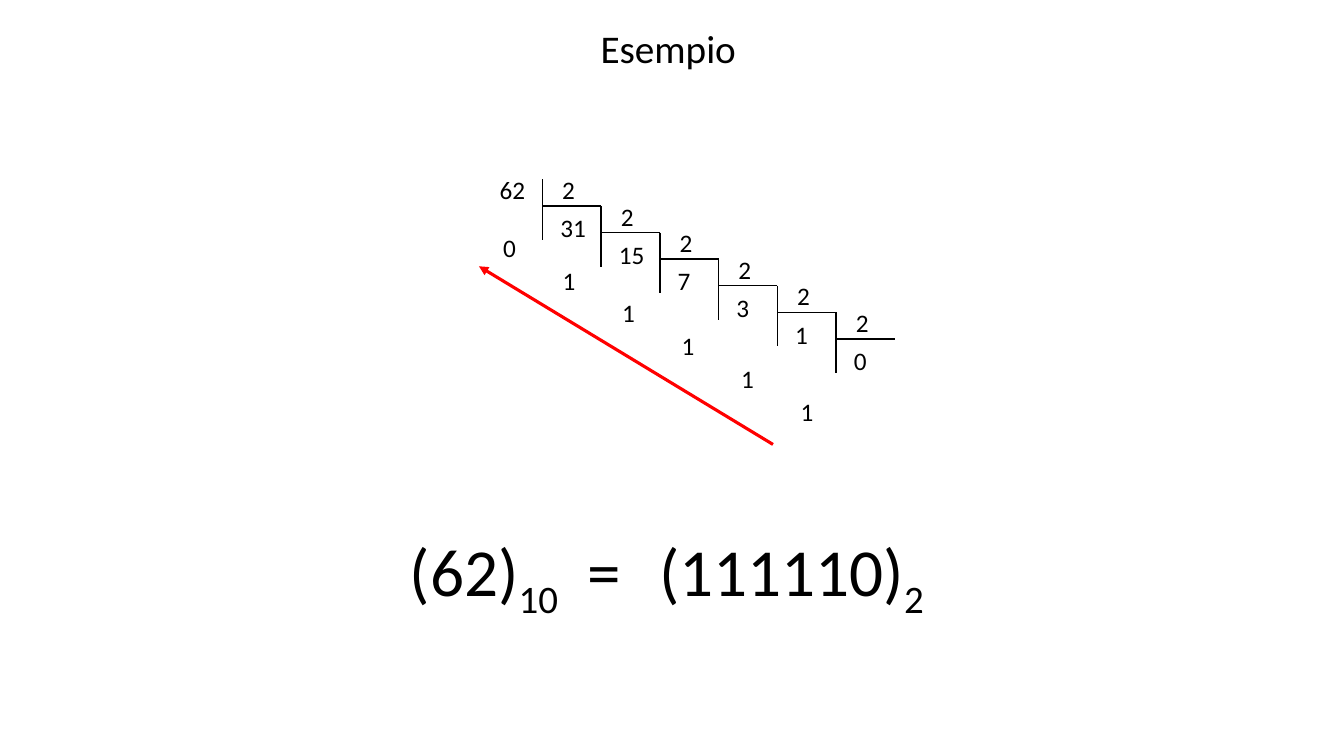
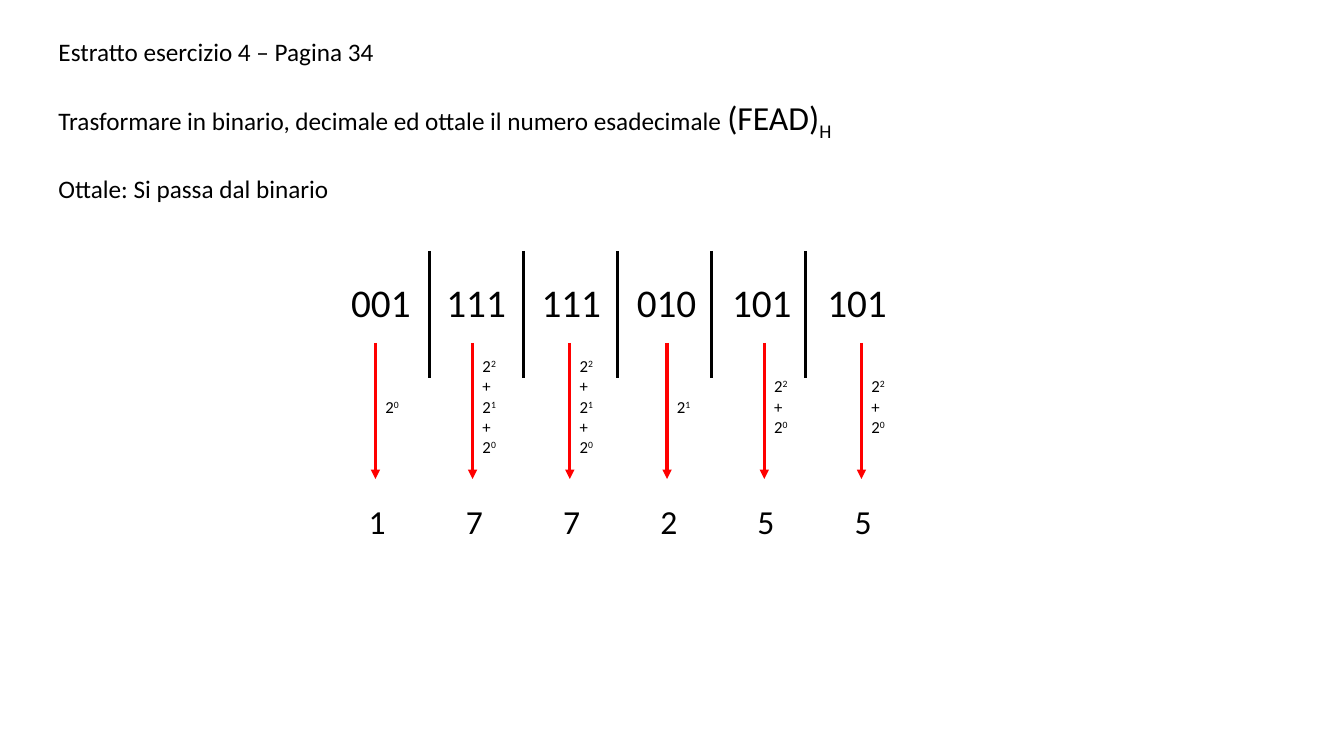
from pptx import Presentation
from pptx.dml.color import RGBColor
from pptx.enum.shapes import MSO_CONNECTOR as Connector
from pptx.enum.text import MSO_ANCHOR as Anchor, MSO_AUTO_SIZE as AutoSize, PP_ALIGN as Align
from pptx.oxml.ns import qn
from pptx.util import Cm, Pt
from lxml.etree import SubElement

# Content: a paragraph is a list of (text, size in points, baseline in percent)
EXAMPLE_TITLE = "Esempio"
DIVISIONS = [  # dividend, remainder
    ("62", "0"), ("31", "1"), ("15", "1"), ("7", "1"), ("3", "1"), ("1", "1"),
]
DIVISOR, LAST_QUOTIENT = "2", "0"
EQUATION = [  # left, width, runs
    (10.08, 5, [("(62)", 48, 0), ("10", 48, -25)]),
    (14.55, 1.96, [("=", 48, 0)]),
    (16.36, 7.62, [("(111110)", 48, 0), ("2", 48, -25)]),
]

EXERCISE_TITLE = "Estratto esercizio 4 – Pagina 34"
EXERCISE_TASK = [
    [("Trasformare in binario, decimale ed ottale il numero esadecimale ", 18, 0),
     ("(FEAD)", 24, 0), ("H", 24, -25)],
    [("Ottale: Si passa dal binario", 18, 0)],
]
OCTAL_GROUPS = [  # three bits, exponents of the bits set, octal digit
    ("001", "0", "1"), ("111", "210", "7"), ("111", "210", "7"),
    ("010", "1", "2"), ("101", "20", "5"), ("101", "20", "5"),
]

# Shared style
FONT = "Calibri"
BLACK = RGBColor(0x00, 0x00, 0x00)
RED = RGBColor(0xFF, 0x00, 0x00)


def fill_paragraph(paragraph, runs):
    paragraph.alignment = Align.LEFT
    for text, size, baseline in runs:
        run = paragraph.add_run()
        run.text = text
        run.font.name, run.font.size = FONT, Pt(size)
        run.font.color.rgb = BLACK
        if baseline:
            run.font._element.set("baseline", str(baseline * 1000))


def fill_frame(frame, paragraphs, anchor=Anchor.TOP):
    frame.word_wrap = True
    frame.auto_size = AutoSize.NONE
    frame.vertical_anchor = anchor
    for index, runs in enumerate(paragraphs):
        paragraph = frame.paragraphs[0] if index == 0 else frame.add_paragraph()
        fill_paragraph(paragraph, runs)


def place(shape, left, top, width, height):
    shape.left, shape.top = Cm(left), Cm(top)
    shape.width, shape.height = Cm(width), Cm(height)


def add_text(slide, box, paragraphs, anchor=Anchor.TOP):
    frame = slide.shapes.add_textbox(*map(Cm, box)).text_frame
    fill_frame(frame, paragraphs, anchor)
    return frame


def add_title(slide, box, text, size):
    place(slide.shapes.title, *box)
    fill_frame(slide.shapes.title.text_frame, [[(text, size, 0)]])


def add_line(slide, start, end, color=BLACK, width=1, arrow=False):
    line = slide.shapes.add_connector(Connector.STRAIGHT, *map(Cm, (*start, *end)))
    line.line.color.rgb, line.line.width = color, Pt(width)
    if arrow:
        SubElement(line.line._get_or_add_ln(), qn("a:tailEnd"), type="triangle")
    SubElement(line._element.spPr, qn("a:effectLst"))


def build_example(prs):
    slide = prs.slides.add_slide(prs.slide_layouts[5])
    add_title(slide, (14.88, 0.48, 4.1, 1.45), EXAMPLE_TITLE, 28)

    # Staircase of divisions: each step moves right and down by the same amount
    step_x, step_y, bar_height = 1.48, 0.67, 1.53
    quotients = [dividend for dividend, _ in DIVISIONS[1:]] + [LAST_QUOTIENT]

    def add_number(text, left, top):
        add_text(slide, (left, top, 1.2, 1.02), [[(text, 18, 0)]])

    add_number(DIVISIONS[0][0], 12.34, 4.27)
    for i, ((_, remainder), quotient) in enumerate(zip(DIVISIONS, quotients)):
        x, y = 13.67 + i * step_x, 4.52 + i * step_y
        add_line(slide, (x, y), (x, y + bar_height))
        add_line(slide, (x, y + step_y), (x + step_x, y + step_y))
        add_number(DIVISOR, x + 0.25, y - 0.25)
        add_number(quotient, x + 0.2, y + 0.71)
        add_number(remainder, 12.43 + i * 1.5, 5.72 + i * 0.83)

    # Remainders are read from the last to the first
    add_line(slide, (19.48, 11.2), (12.07, 6.71), RED, 2.25, arrow=True)

    for left, width, runs in EQUATION:
        add_text(slide, (left, 13.21, width, 2.31), [runs])


def build_exercise(prs):
    slide = prs.slides.add_slide(prs.slide_layouts[1])
    add_title(slide, (1.22, 0.79, 24.4, 1.02), EXERCISE_TITLE, 18)

    # Task
    task = slide.placeholders[1]
    place(task, 1.22, 2.31, 24.4, 3)
    fill_frame(task.text_frame, EXERCISE_TASK)
    for paragraph, space in zip(task.text_frame.paragraphs, (0, 22)):
        properties = paragraph._p.get_or_add_pPr()
        properties.set("marL", "0")
        properties.set("indent", "0")
        paragraph.space_before = Pt(space)
        SubElement(properties, qn("a:buNone"))

    # Binary number in groups of three bits, one tab stop each
    bits = "\t".join(group[0] for group in OCTAL_GROUPS)
    binary = add_text(slide, (8.6, 6.88, 15, 1.45), [[(bits, 28, 0)]])
    tabs = SubElement(binary.paragraphs[0]._p.get_or_add_pPr(), qn("a:tabLst"))
    for i in range(1, len(OCTAL_GROUPS)):
        SubElement(tabs, qn("a:tab"), pos=str(Cm(2.4 * i)), algn="l")
        x = 10.83 + (i - 1) * 2.37
        add_line(slide, (x, 6.32), (x, 9.53), width=2.25)

    # Sum of powers and octal digit of each group
    for i, (_, exponents, digit) in enumerate(OCTAL_GROUPS):
        x = 9.46 + i * 2.45
        add_line(slide, (x, 8.64), (x, 12.07), RED, 2.25, arrow=True)
        powers = []
        for exponent in exponents:
            if powers:
                powers.append([("+", 12, 0)])
            powers.append([("2", 12, 0), (exponent, 12, 30)])
        add_text(slide, (x, 8.83, 2.03, 2.82), powers, Anchor.MIDDLE)
        add_text(slide, (x - 0.42, 12.5, 0.97, 1.27), [[(digit, 24, 0)]])


def main():
    prs = Presentation()
    prs.slide_width, prs.slide_height = Cm(33.87), Cm(19.05)
    build_example(prs)
    build_exercise(prs)
    prs.save("out.pptx")


if __name__ == "__main__":
    main()
